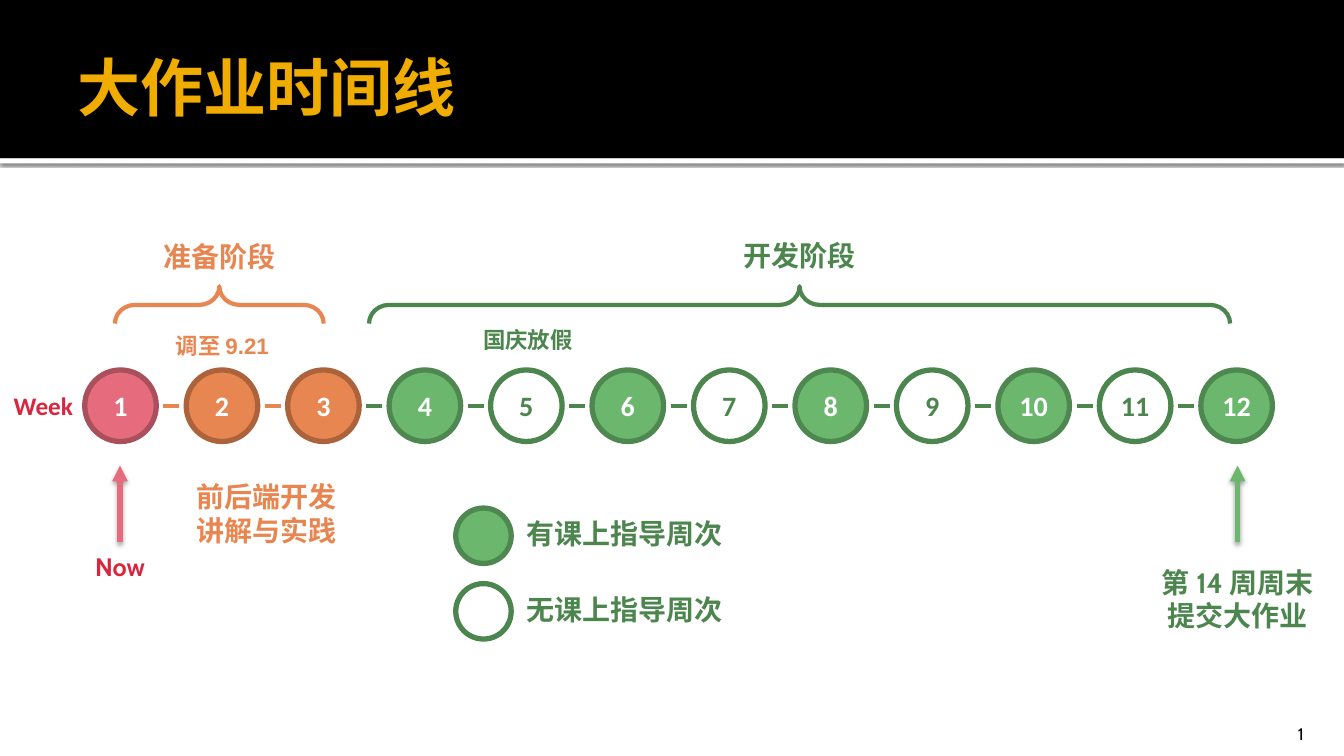
from dataclasses import dataclass

from lxml import etree
from pptx import Presentation
from pptx.dml.color import RGBColor
from pptx.enum.shapes import MSO_CONNECTOR, MSO_SHAPE
from pptx.enum.text import MSO_ANCHOR, MSO_AUTO_SIZE, PP_ALIGN
from pptx.oxml.ns import qn
from pptx.util import Inches, Pt

CENTER, LEFT, RIGHT = PP_ALIGN.CENTER, PP_ALIGN.LEFT, PP_ALIGN.RIGHT
TOP, MIDDLE, BOTTOM = MSO_ANCHOR.TOP, MSO_ANCHOR.MIDDLE, MSO_ANCHOR.BOTTOM
OVAL, RECTANGLE, BRACE = MSO_SHAPE.OVAL, MSO_SHAPE.RECTANGLE, MSO_SHAPE.LEFT_BRACE
STRAIGHT = MSO_CONNECTOR.STRAIGHT


@dataclass(frozen=True)
class Theme:
    black: str = "000000"
    white: str = "FFFFFF"
    gold: str = "F0AD00"
    red: str = "D9253E"
    pink: str = "E66C7D"
    pink_edge: str = "AA505C"
    orange: str = "E88651"
    orange_edge: str = "AC633C"
    green: str = "6BB76D"
    green_edge: str = "4F8751"
    green_dark: str = "4C864E"
    body: str = "Cabin"
    numeric: str = "Calibri"
    note: str = "Arial"
    chinese: str = "Noto Sans CJK SC"
    title_size: int = 45
    label_size: int = 20
    marker_size: int = 18
    note_size: int = 16
    page_size: int = 12
    outline: float = 3.78
    stroke: float = 3


THEME = Theme()
# Circle styles: fill, outline, number colour
NOW = (THEME.pink, THEME.pink_edge, THEME.white)
PREPARE = (THEME.orange, THEME.orange_edge, THEME.white)
GUIDED = (THEME.green, THEME.green_edge, THEME.white)
UNGUIDED = (THEME.white, THEME.green_dark, THEME.green_dark)
WEEKS = [NOW, PREPARE, PREPARE] + [GUIDED, UNGUIDED] * 4 + [GUIDED]


def rgb(color):
    return RGBColor.from_string(color)


def write_text(shape, text, size=THEME.label_size, color=THEME.green_dark, font=THEME.body,
               bold=True, align=CENTER, anchor=TOP):
    frame = shape.text_frame
    frame.word_wrap = True
    frame.vertical_anchor = anchor
    frame.text = text
    for paragraph in frame.paragraphs:
        paragraph.alignment = align
        for run in paragraph.runs:
            run.font.size, run.font.bold, run.font.name = Pt(size), bold, font
            run.font.color.rgb = rgb(color)
            east_asian = etree.SubElement(run.font._element, qn("a:ea"))
            east_asian.set("typeface", THEME.chinese)


def add_label(slide, box, text, **text_format):
    label = slide.shapes.add_textbox(*map(Inches, box))
    write_text(label, text, **text_format)
    return label


def add_figure(slide, kind, box, fill=None, line=None, width=THEME.outline):
    shape = slide.shapes.add_shape(kind, *map(Inches, box))
    shape.shadow.inherit = False
    if fill:
        shape.fill.solid()
        shape.fill.fore_color.rgb = rgb(fill)
    else:
        shape.fill.background()
    if line:
        shape.line.color.rgb = rgb(line)
        shape.line.width = Pt(width)
    else:
        shape.line.fill.background()
    return shape


def add_line(slide, start, end, color, width=THEME.stroke):
    line = slide.shapes.add_connector(STRAIGHT, *map(Inches, start + end))
    line.line.color.rgb = rgb(color)
    line.line.width = Pt(width)
    etree.SubElement(line.element.spPr, qn("a:effectLst"))
    return line


def add_drop_shadow(shape, blur, distance, opacity):
    effects = shape.element.spPr.find(qn("a:effectLst"))
    shadow = etree.SubElement(effects, qn("a:outerShdw"), blurRad=str(Pt(blur)),
                              dist=str(Pt(distance)), dir="5400000", rotWithShape="0")
    color = etree.SubElement(shadow, qn("a:srgbClr"), val=THEME.black)
    etree.SubElement(color, qn("a:alpha"), val=str(opacity * 1000))


def add_header(slide, box, text):
    left, top, width, height = box
    rule = add_figure(slide, RECTANGLE, (left, top + height, width, 0.05), THEME.white)
    add_drop_shadow(rule, 2.5, 0.8, 60)
    add_figure(slide, RECTANGLE, box, THEME.black)
    title = slide.shapes.title
    title.element.getparent().append(title.element)  # in front of the band
    title.left, title.top = Inches(left + 0.67), Inches(top + 0.17)
    title.width, title.height = Inches(12), Inches(1.37)
    frame = title.text_frame
    frame.auto_size = MSO_AUTO_SIZE.NONE
    frame.margin_left = Inches(0.1)
    frame.margin_right = frame.margin_top = frame.margin_bottom = Inches(0.05)
    write_text(title, text, size=THEME.title_size, color=THEME.gold, align=LEFT, anchor=MIDDLE)


def add_page_number(slide, box, number):
    label = add_label(slide, box, number, size=THEME.page_size, color=THEME.black,
                      bold=False, align=RIGHT, anchor=BOTTOM)
    label.text_frame.margin_bottom = 0
    run = label.text_frame.paragraphs[0].runs[0]._r
    run.tag = qn("a:fld")
    run.set("id", "{B6F15528-21DE-4FAA-801E-634DDDAF4B2B}")
    run.set("type", "slidenum")


def add_timeline(slide, box):
    """Row of week circles filling the box, with a dash in each gap."""
    left, top, width, diameter = box
    pitch = (width - diameter) / (len(WEEKS) - 1)
    middle = top + diameter / 2
    for index, (fill, edge, color) in enumerate(WEEKS):
        x = left + index * pitch
        circle = add_figure(slide, OVAL, (x, top, diameter, diameter), fill, edge)
        frame = circle.text_frame
        frame.margin_left = frame.margin_right = 0
        write_text(circle, str(index + 1), color=color, font=THEME.numeric, anchor=MIDDLE)
        if index < len(WEEKS) - 1:
            start = x + diameter + 0.07
            dash_color = THEME.orange if index < 2 else THEME.green_dark
            add_line(slide, (start, middle), (start + 0.16, middle), dash_color)
    add_label(slide, (left - 0.88, top + 0.15, 0.94, 0.4), "Week", size=THEME.marker_size,
              color=THEME.red, font=THEME.numeric)


def add_phase(slide, box, text, color):
    """Upward brace along the bottom of the box, under its centred name."""
    left, top, width, height = box
    depth, label_width = 0.37, 2
    center_x, center_y = left + width / 2, top + height - depth / 2
    brace_box = (center_x - depth / 2, center_y - width / 2, depth, width)
    brace = add_figure(slide, BRACE, brace_box, line=color, width=THEME.stroke)
    brace.rotation = 90
    brace.adjustments[0] = 0.536
    add_label(slide, (center_x - label_width / 2, top, label_width, 0.44), text,
              color=color, font=THEME.chinese)


def add_milestone(slide, box, text, arrow_color, label_top, **text_format):
    """Upward arrow at the top centre of the box, label below it."""
    left, top, width, height = box
    x = left + width / 2
    arrow = add_line(slide, (x, top + 0.76), (x, top), arrow_color, THEME.outline)
    add_drop_shadow(arrow, 3.5, 2, 38)
    etree.SubElement(arrow.line._get_or_add_ln(), qn("a:tailEnd"), type="triangle")
    add_label(slide, (left, top + label_top, width, height - label_top), text, **text_format)


def add_legend(slide, box):
    left, top, width, height = box
    diameter = 0.55
    entries = [("有课上指导周次", GUIDED), ("无课上指导周次", UNGUIDED)]
    step = (height - diameter) / (len(entries) - 1)
    for index, (text, (fill, edge, _)) in enumerate(entries):
        y = top + index * step
        add_figure(slide, OVAL, (left, y, diameter, diameter), fill, edge)
        add_label(slide, (left + 0.6, y + 0.04, width - 0.6, 0.44), text, align=LEFT)


def main():
    presentation = Presentation()
    presentation.slide_width, presentation.slide_height = Inches(13.33), Inches(7.5)
    slide = presentation.slides.add_slide(presentation.slide_layouts[5])
    add_header(slide, (0, 0, 13.33, 1.57), "大作业时间线")
    add_timeline(slide, (0.84, 3.67, 11.78, 0.71))
    add_phase(slide, (1.14, 2.33, 2.07, 0.88), "准备阶段", THEME.orange)
    add_phase(slide, (3.66, 2.32, 8.54, 0.89), "开发阶段", THEME.green_dark)
    note = {"size": THEME.note_size, "font": THEME.note}
    add_label(slide, (1.56, 3.25, 1.29, 0.37), "调至 9.21", color=THEME.orange, **note)
    add_label(slide, (4.59, 3.19, 1.29, 0.37), "国庆放假", **note)
    add_milestone(slide, (0.59, 4.62, 1.2, 1.2), "Now", THEME.pink, 0.8,
                  size=THEME.marker_size, color=THEME.red)
    add_label(slide, (1.69, 4.71, 1.91, 0.77), "前后端开发\n讲解与实践", color=THEME.orange)
    add_legend(slide, (4.52, 5.04, 2.83, 1.3))
    add_milestone(slide, (11.3, 4.62, 1.95, 1.71), "第 14 周周末\n提交大作业", THEME.green, 0.94)
    add_page_number(slide, (11.96, 7.08, 1.07, 0.3), "7")
    presentation.save("out.pptx")


if __name__ == "__main__":
    main()
